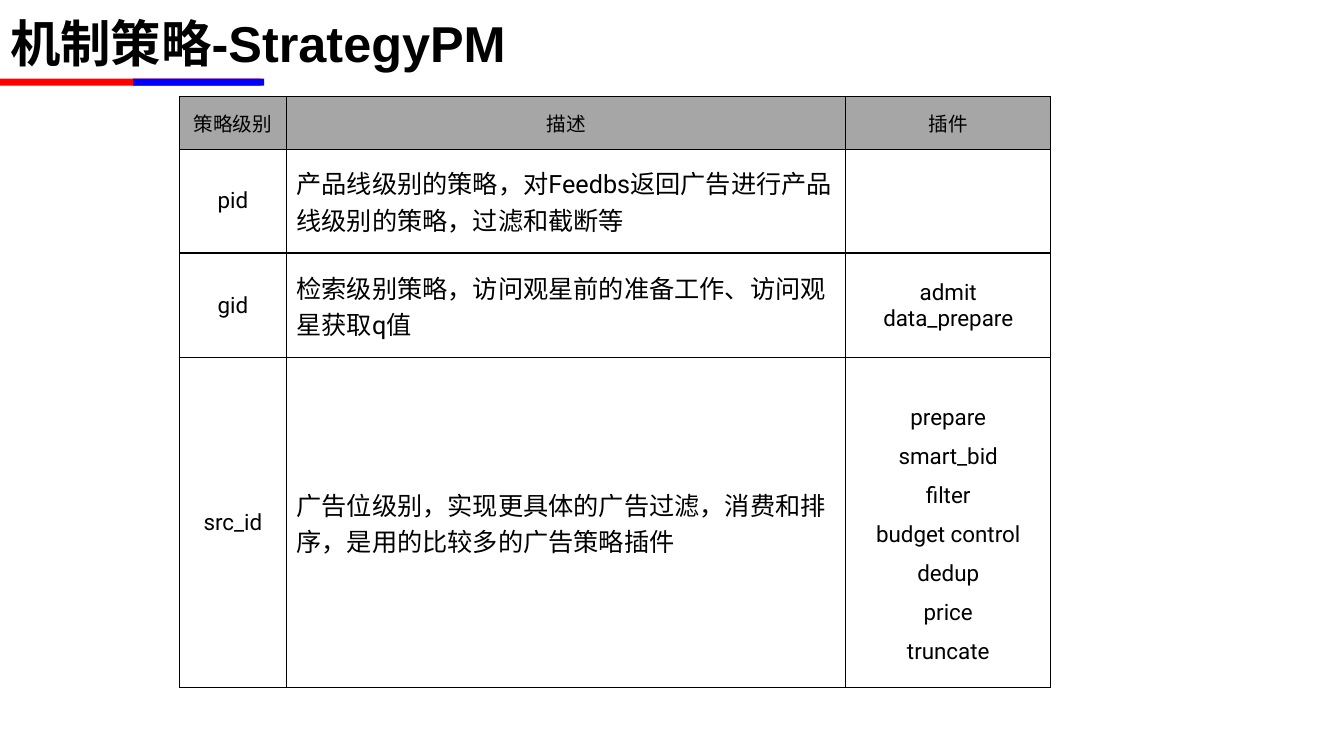
import dataclasses

import pptx
import pptx.dml.color
import pptx.enum.shapes
import pptx.enum.text
import pptx.oxml
import pptx.oxml.ns
import pptx.table
import pptx.util

Inches = pptx.util.Inches
Pt = pptx.util.Pt
RGBColor = pptx.dml.color.RGBColor
PP_ALIGN = pptx.enum.text.PP_ALIGN
MIDDLE = pptx.enum.text.MSO_ANCHOR.MIDDLE

BLACK = RGBColor(0x00, 0x00, 0x00)
RED = RGBColor(0xFF, 0x00, 0x00)
BLUE = RGBColor(0x00, 0x00, 0xFF)
HEADER_GRAY = RGBColor(0xA6, 0xA6, 0xA6)

ARIAL = "Arial"
ROBOTO = "Roboto"
COLUMN_WIDTHS = (1.06, 5.55, 2.03)
HEADINGS = ("策略级别", "描述", "插件")
HEADER_HEIGHT = 0.52


@dataclasses.dataclass(frozen=True)
class Bar:
    left: float
    width: float
    color: RGBColor


@dataclasses.dataclass(frozen=True)
class Phrase:
    text: str
    font: str = ROBOTO


@dataclasses.dataclass(frozen=True)
class Strategy:
    level: str
    description: tuple[Phrase, ...]
    plugins: tuple[str, ...]
    height: float
    plugin_spacing: float = 1.0
    plugin_top_margin: float = 0.05


BARS = (Bar(0, 2.59, RED), Bar(1.32, 1.3, BLUE))

STRATEGIES = (
    Strategy(
        "pid",
        (
            Phrase("产品线级别的策略，", ARIAL),
            Phrase("对Feedbs返回广告进行产品线级别的策略，过滤和截断等"),
        ),
        (),
        1.03,
    ),
    Strategy(
        "gid",
        (Phrase("检索级别策略，访问观星前的准备工作、访问观星获取q值"),),
        ("admit", "data_prepare"),
        1.04,
    ),
    Strategy(
        "src_id",
        (
            Phrase("广告位级别，"),
            Phrase("实现更具体的广告过滤，消费和排序，是用的比较多的广告策略插件", ARIAL),
        ),
        ("prepare", "smart_bid", "filter", "budget control", "dedup", "price", "truncate"),
        3.27,
        plugin_spacing=1.5,
        plugin_top_margin=0.17,
    ),
)


def style_font(font: pptx.text.text.Font, name: str, size: float, bold: bool = False) -> None:
    font.name = name
    font.size = Pt(size)
    font.bold = bold
    font.color.rgb = BLACK


def draw_bar(slide: pptx.slide.Slide, bar: Bar) -> None:
    stripe = slide.shapes.add_shape(
        pptx.enum.shapes.MSO_SHAPE.RECTANGLE,
        Inches(bar.left), Inches(0.78), Inches(bar.width), Inches(0.07),
    )
    stripe.shadow.inherit = False
    stripe.fill.solid()
    stripe.fill.fore_color.rgb = bar.color
    stripe.line.fill.background()


def write_title(slide: pptx.slide.Slide) -> None:
    heading = slide.shapes.title
    heading.left, heading.top = Inches(0), Inches(0)
    heading.width, heading.height = Inches(12), Inches(0.85)
    heading.text_frame.text = "机制策略-StrategyPM"
    heading.text_frame.vertical_anchor = MIDDLE
    line = heading.text_frame.paragraphs[0]
    line.alignment = PP_ALIGN.LEFT
    style_font(line.runs[0].font, ARIAL, 36, bold=True)


def frame_cell(cell: pptx.table._Cell, color: RGBColor | None = None) -> None:
    cell.vertical_anchor = MIDDLE
    properties = cell._tc.get_or_add_tcPr()
    for side in ("lnL", "lnR", "lnT", "lnB"):
        properties.append(pptx.oxml.parse_xml(
            f'<a:{side} {pptx.oxml.ns.nsdecls("a")} w="12700">'
            f'<a:solidFill><a:srgbClr val="{BLACK}"/></a:solidFill></a:{side}>'
        ))
    if color is None:
        cell.fill.background()
    else:
        cell.fill.solid()
        cell.fill.fore_color.rgb = color


def write_centered(cell: pptx.table._Cell, text: str, size: float, spacing: float = 1.0) -> None:
    cell.text_frame.text = text
    for line in cell.text_frame.paragraphs:
        line.alignment = PP_ALIGN.CENTER
        line.line_spacing = spacing
        for run in line.runs:
            style_font(run.font, ROBOTO, size)


def write_description(cell: pptx.table._Cell, phrases: tuple[Phrase, ...]) -> None:
    line = cell.text_frame.paragraphs[0]
    for phrase in phrases:
        run = line.add_run()
        run.text = phrase.text
        style_font(run.font, phrase.font, 18)


def draw_strategies(slide: pptx.slide.Slide) -> None:
    heights = (HEADER_HEIGHT, *(strategy.height for strategy in STRATEGIES))
    strategies = slide.shapes.add_table(
        len(heights), len(COLUMN_WIDTHS),
        Inches(1.78), Inches(0.96), Inches(sum(COLUMN_WIDTHS)), Inches(sum(heights)),
    ).table
    strategies.horz_banding = False
    strategies.first_row = False
    for column, width in zip(strategies.columns, COLUMN_WIDTHS):
        column.width = Inches(width)
    for row, height in zip(strategies.rows, heights):
        row.height = Inches(height)

    for column, heading in enumerate(HEADINGS):
        cell = strategies.cell(0, column)
        frame_cell(cell, HEADER_GRAY)
        write_centered(cell, heading, 14)

    for row, strategy in enumerate(STRATEGIES, start=1):
        level, description, plugins = (strategies.cell(row, column) for column in range(3))
        for cell in (level, description, plugins):
            frame_cell(cell)
        write_centered(level, strategy.level, 16)
        write_description(description, strategy.description)
        plugins.margin_top = Inches(strategy.plugin_top_margin)
        write_centered(plugins, "\n".join(strategy.plugins), 16, strategy.plugin_spacing)


def main() -> None:
    presentation = pptx.Presentation()
    presentation.slide_width = Inches(13.33)
    presentation.slide_height = Inches(7.5)
    slide = presentation.slides.add_slide(presentation.slide_layouts[5])
    for bar in BARS:
        draw_bar(slide, bar)
    write_title(slide)
    draw_strategies(slide)
    presentation.save("out.pptx")


if __name__ == "__main__":
    main()
